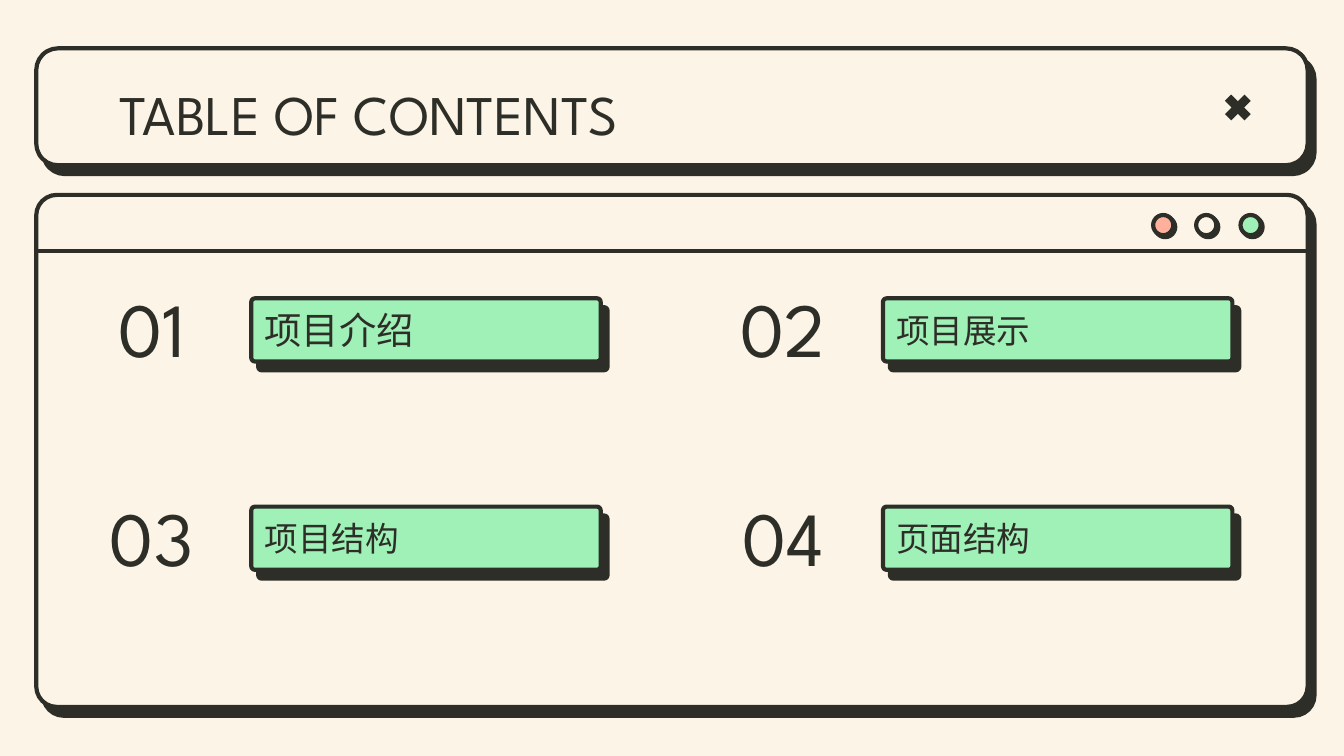
from lxml.etree import SubElement
from pptx import Presentation
from pptx.dml.color import RGBColor
from pptx.enum.shapes import MSO_CONNECTOR, MSO_SHAPE
from pptx.enum.text import MSO_ANCHOR, MSO_AUTO_SIZE, PP_ALIGN
from pptx.oxml.ns import qn
from pptx.util import Inches, Pt

CREAM = RGBColor(0xFC, 0xF4, 0xE6)
INK = RGBColor(0x2D, 0x2E, 0x27)
GREEN = RGBColor(0x9F, 0xF1, 0xB7)
CORAL = RGBColor(0xFF, 0xB0, 0x9C)

TITLE = "TABLE OF CONTENTS"
SECTIONS = [
    ("01", "项目介绍", 20),
    ("02", "项目展示", 18),
    ("03", "项目结构", 18),
    ("04", "页面结构", 18),
]
BUTTONS = [(8.58, CORAL), (8.9, CREAM), (9.23, GREEN)]
PANELS = [(0.36, 0.87, 0.186), (1.45, 3.81, 0.04)]

PANEL_LEFT, PANEL_WIDTH = 0.27, 9.46
CARD_LEFT, CARD_TOP = 1.87, 2.22
COLUMN_STEP, ROW_STEP = 4.7, 1.55
NUMBER_WIDTH = 1.48


def add_shape(slide, kind, box, fill, adjustment=None):
    shape = slide.shapes.add_shape(kind, *map(Inches, box))
    shape.shadow.inherit = False
    shape.fill.solid()
    shape.fill.fore_color.rgb = fill
    shape.line.fill.background()
    if adjustment is not None:
        shape.adjustments[0] = adjustment
    return shape


def add_raised_shape(slide, kind, box, fill, adjustment=None, distance=6, angle=52):
    shape = add_shape(slide, kind, box, fill, adjustment)
    shape.line.color.rgb = INK
    shape.line.width = Pt(2.25)
    effects = shape._element.spPr.find(qn("a:effectLst"))
    shadow = SubElement(effects, qn("a:outerShdw"), blurRad="0", dist=str(Pt(distance)),
                        dir=str(angle * 60000), algn="bl", rotWithShape="0")
    SubElement(shadow, qn("a:srgbClr"), val=str(INK))


def write_text(shape, text, font_name, size, alignment, anchor):
    frame = shape.text_frame
    frame.word_wrap = True
    frame.auto_size = MSO_AUTO_SIZE.NONE
    frame.vertical_anchor = anchor
    frame.margin_left = frame.margin_right = Inches(0.1)
    frame.margin_top = frame.margin_bottom = Inches(0.1)
    paragraph = frame.paragraphs[0]
    paragraph.text = text
    paragraph.alignment = alignment
    paragraph.font.name = font_name
    paragraph.font.size = Pt(size)
    paragraph.font.color.rgb = INK


def add_text(slide, box, *style):
    write_text(slide.shapes.add_textbox(*map(Inches, box)), *style)


def add_window(slide):
    for top, height, adjustment in PANELS:
        add_raised_shape(slide, MSO_SHAPE.ROUNDED_RECTANGLE,
                         (PANEL_LEFT, top, PANEL_WIDTH, height), CREAM, adjustment)

    divider = slide.shapes.add_connector(
        MSO_CONNECTOR.STRAIGHT, Inches(PANEL_LEFT), Inches(1.87),
        Inches(PANEL_LEFT + PANEL_WIDTH), Inches(1.87))
    divider.line.color.rgb = INK
    divider.line.width = Pt(2.25)
    SubElement(divider._element.spPr, qn("a:effectLst"))

    for left, color in BUTTONS:
        add_raised_shape(slide, MSO_SHAPE.OVAL, (left, 1.6, 0.15, 0.15),
                         color, distance=1.5, angle=45)
    add_shape(slide, MSO_SHAPE.MATH_MULTIPLY, (9.07, 0.66, 0.28, 0.28), INK, 0.235)


def add_title(slide):
    title = slide.shapes.title
    title.left, title.top, title.width, title.height = map(Inches, (0.79, 0.49, 8.43, 0.63))
    write_text(title, TITLE, "League Spartan", 30, PP_ALIGN.LEFT, MSO_ANCHOR.TOP)
    slide.shapes._spTree.append(title._element)


def add_sections(slide):
    for index, (number, label, size) in enumerate(SECTIONS):
        row, column = divmod(index, 2)
        left = CARD_LEFT + column * COLUMN_STEP
        top = CARD_TOP + row * ROW_STEP
        add_raised_shape(slide, MSO_SHAPE.ROUNDED_RECTANGLE, (left, top, 2.6, 0.47),
                         GREEN, 0.057)
        add_text(slide, (left - NUMBER_WIDTH, top - 0.1, NUMBER_WIDTH, 0.63),
                 number, "League Spartan", 41, PP_ALIGN.CENTER, MSO_ANCHOR.MIDDLE)
        add_text(slide, (left, top, 2.24, 0.47),
                 label, "Lato", size, PP_ALIGN.LEFT, MSO_ANCHOR.MIDDLE)


def main():
    presentation = Presentation()
    presentation.slide_width = Inches(10)
    presentation.slide_height = Inches(10 * 9 / 16)
    slide = presentation.slides.add_slide(presentation.slide_layouts[5])
    slide.background.fill.solid()
    slide.background.fill.fore_color.rgb = CREAM
    add_window(slide)
    add_title(slide)
    add_sections(slide)
    presentation.save("out.pptx")


if __name__ == "__main__":
    main()
